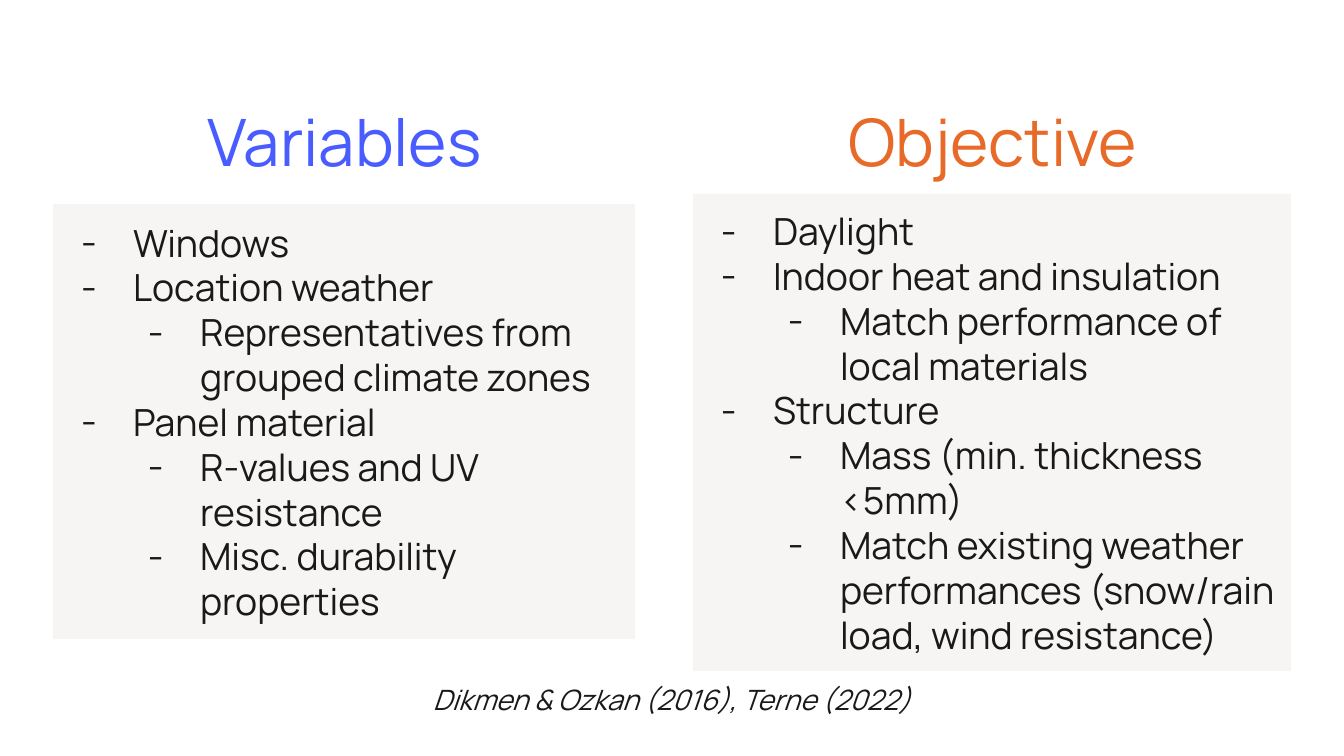
"""Build the slide that sets design variables beside objectives."""
from dataclasses import dataclass

from lxml.etree import SubElement
from pptx import Presentation
from pptx.dml.color import RGBColor
from pptx.enum.text import MSO_ANCHOR, MSO_AUTO_SIZE, PP_ALIGN
from pptx.oxml.ns import qn
from pptx.util import Emu, Pt


@dataclass(frozen=True)
class Theme:
    font: str = "Manrope"
    ink: str = "191919"
    panel: str = "F3F2F1"
    blue: str = "495CFF"
    orange: str = "E76A28"
    heading: int = 35
    body: int = 20
    body_line: int = 24
    source: int = 15


theme = Theme()
PX = 914400 / 134.4
INDENT, HANGING, INSET = 67, 52, 13


def px(length):
    return Emu(round(length * PX))


def place(box, bounds, size, color, align, italic=False):
    box.left, box.top, box.width, box.height = map(px, bounds)
    frame = box.text_frame
    frame.word_wrap = True
    frame.auto_size = MSO_AUTO_SIZE.NONE
    frame.vertical_anchor = MSO_ANCHOR.MIDDLE
    frame.margin_left = frame.margin_right = px(INSET)
    frame.margin_top = frame.margin_bottom = px(INSET)
    for para in frame.paragraphs:
        para.alignment = align
        para.space_before = Pt(0)
        for span in para.runs:
            span.font.name = theme.font
            span.font.size = Pt(size)
            span.font.bold = False
            span.font.italic = italic
            span.font.color.rgb = RGBColor.from_string(color)


deck = Presentation()
deck.slide_width, deck.slide_height = px(1344), px(756)
page = deck.slides.add_slide(deck.slide_layouts.get_by_name("Comparison"))
holders = {holder.placeholder_format.idx: holder for holder in page.placeholders}

spare = holders[1].element
spare.getparent().remove(spare)

headings = [
    (holders[0], "Variables", 161, theme.blue),
    (holders[3], "Objective", 809, theme.orange),
]
for box, text, left, color in headings:
    box.text_frame.text = text
    place(box, (left, 86, 367, 109), theme.heading, color, PP_ALIGN.CENTER)

lists = [
    (holders[2], (53, 204, 582, 435), [
        (0, "Windows"),
        (0, "Location weather"),
        (1, "Representatives from grouped climate zones"),
        (0, "Panel material"),
        (1, "R-values and UV resistance"),
        (1, "Misc. durability properties"),
    ]),
    (holders[4], (693, 194, 598, 477), [
        (0, "Daylight"),
        (0, "Indoor heat and insulation"),
        (1, "Match performance of local materials"),
        (0, "Structure"),
        (1, "Mass (min. thickness <5mm)"),
        (1, "Match existing weather performances (snow/rain load, wind resistance)"),
    ]),
]
for box, bounds, items in lists:
    box.fill.solid()
    box.fill.fore_color.rgb = RGBColor.from_string(theme.panel)
    fill_color = box.element.spPr.find(f"{qn('a:solidFill')}/{qn('a:srgbClr')}")
    SubElement(fill_color, qn("a:alpha"), val="75000")
    box.text_frame.text = "\n".join(text for level, text in items)
    for para, (level, text) in zip(box.text_frame.paragraphs, items):
        para.level = level
        para.line_spacing = Pt(theme.body_line)
        properties = para._p.get_or_add_pPr()
        properties.set("marL", str(px(INDENT * (level + 1))))
        properties.set("indent", str(px(-HANGING)))
        bullet_color = SubElement(properties, qn("a:buClr"))
        SubElement(bullet_color, qn("a:srgbClr"), val=theme.ink)
        SubElement(properties, qn("a:buFont"), typeface=theme.font)
        SubElement(properties, qn("a:buChar"), char="-")
    place(box, bounds, theme.body, theme.ink, PP_ALIGN.LEFT)

source_bounds = (31, 672, 1282, 54)
source = page.shapes.add_textbox(*map(px, source_bounds))
source.text_frame.text = "Dikmen & Ozkan (2016), Terne (2022)"
place(source, source_bounds, theme.source, theme.ink, PP_ALIGN.CENTER, italic=True)

deck.save("out.pptx")
